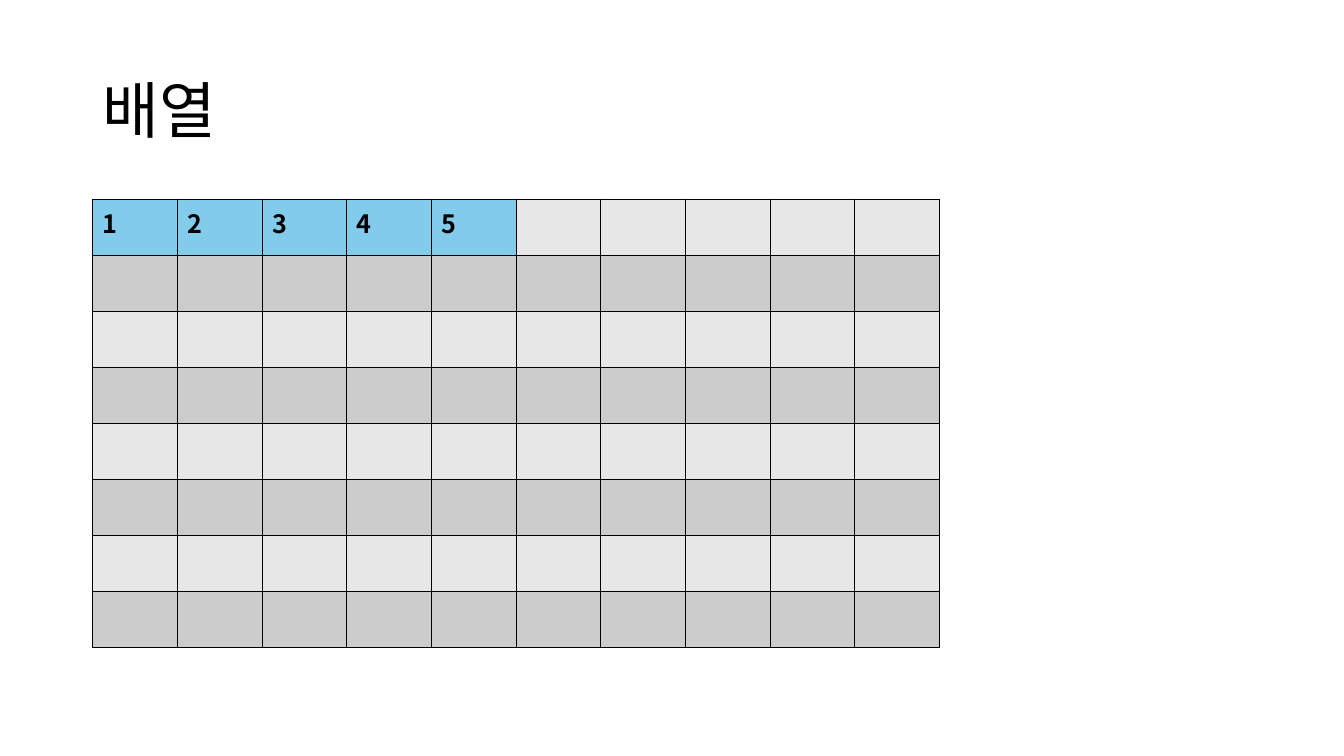
from lxml import etree
from pptx import Presentation
from pptx.dml.color import RGBColor
from pptx.enum import text
from pptx.oxml import ns
from pptx.util import Inches, Pt

FONT = "Noto Sans CJK KR"
BLACK = "000000"
USED = "83CBEB"
BANDS = ("E7E7E7", "CCCCCC")
VALUES = (1, 2, 3, 4, 5)
ROWS, COLUMNS = 8, 10


def rgb(value):
    return RGBColor.from_string(value)


def write(frame, wording, size, bold=False, color=BLACK, line_spacing=None):
    paragraph = frame.paragraphs[0]
    paragraph.alignment = text.PP_ALIGN.LEFT
    paragraph.line_spacing = line_spacing
    run = paragraph.add_run()
    run.text = wording
    run.font.size = Pt(size)
    run.font.bold = bold
    run.font.name = FONT
    run.font.color.rgb = rgb(color)
    # Hangul takes its typeface from the East Asian font entry
    etree.SubElement(run.font._element, ns.qn("a:ea"), typeface=FONT)


def add_title(slide, wording):
    title = slide.shapes.title
    title.left, title.top = Inches(0.92), Inches(0.4)
    title.width, title.height = Inches(11.5), Inches(1.45)
    title.text_frame.vertical_anchor = text.MSO_ANCHOR.MIDDLE
    write(title.text_frame, wording, size=44, line_spacing=0.9)


def outline_cell(cell, color=BLACK, width=1):
    properties = cell._tc.get_or_add_tcPr()
    for side in ("lnL", "lnR", "lnT", "lnB"):
        line = etree.SubElement(properties, ns.qn(f"a:{side}"), w=str(Pt(width)))
        fill = etree.SubElement(line, ns.qn("a:solidFill"))
        etree.SubElement(fill, ns.qn("a:srgbClr"), val=color)


def fill_cell(cell, color):
    cell.fill.solid()
    cell.fill.fore_color.rgb = rgb(color)


def add_array(slide):
    """Draw the memory grid with the array's values in its first cells."""
    width, height = Inches(8.4), Inches(4.45)
    grid = slide.shapes.add_table(
        ROWS, COLUMNS, Inches(0.92), Inches(1.98), width, height).table
    grid.first_row = grid.horz_banding = False
    for index, cell in enumerate(grid.iter_cells()):
        outline_cell(cell)
        if index < len(VALUES):
            fill_cell(cell, USED)
            cell.vertical_anchor = text.MSO_ANCHOR.TOP
            write(cell.text_frame, str(VALUES[index]), size=18, bold=True)
        else:
            fill_cell(cell, BANDS[index // COLUMNS % 2])


def main():
    deck = Presentation()
    deck.slide_width, deck.slide_height = Inches(13.33), Inches(7.5)
    slide = deck.slides.add_slide(deck.slide_layouts[5])
    add_title(slide, "배열")
    add_array(slide)
    deck.save("out.pptx")


if __name__ == "__main__":
    main()
